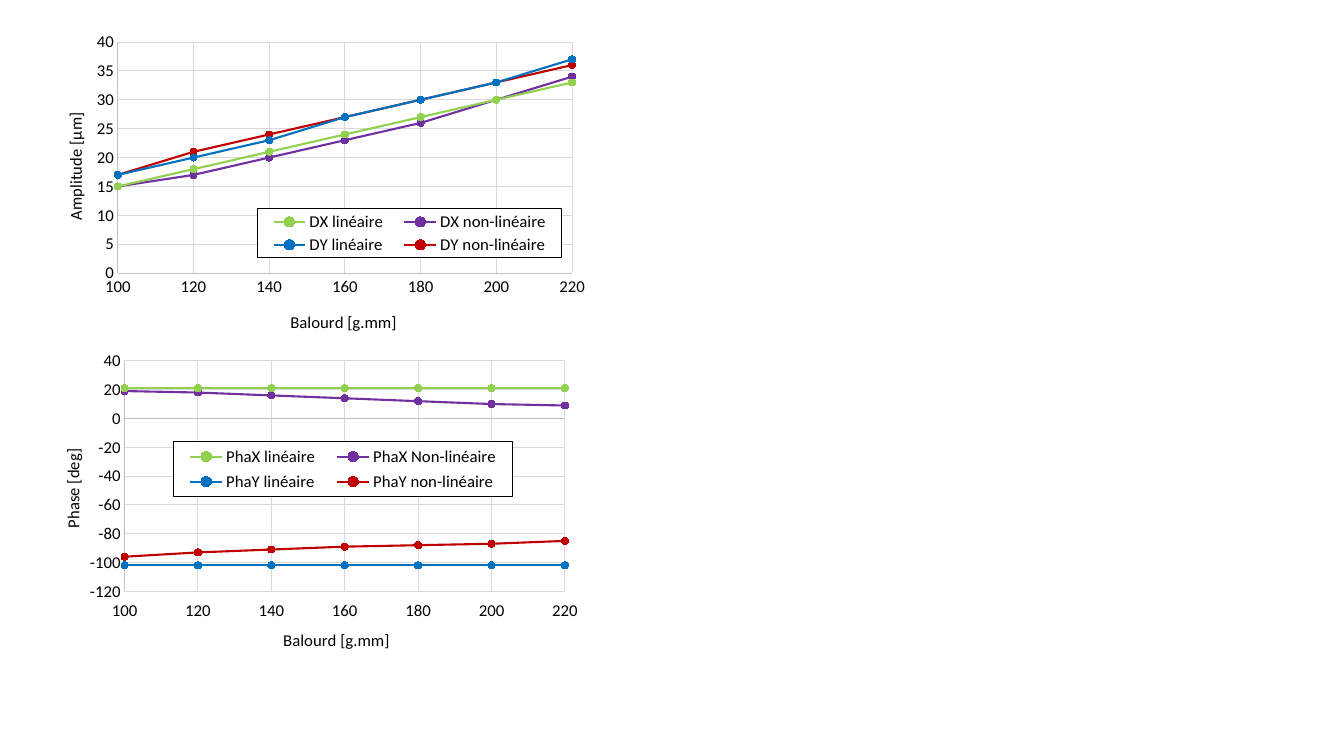
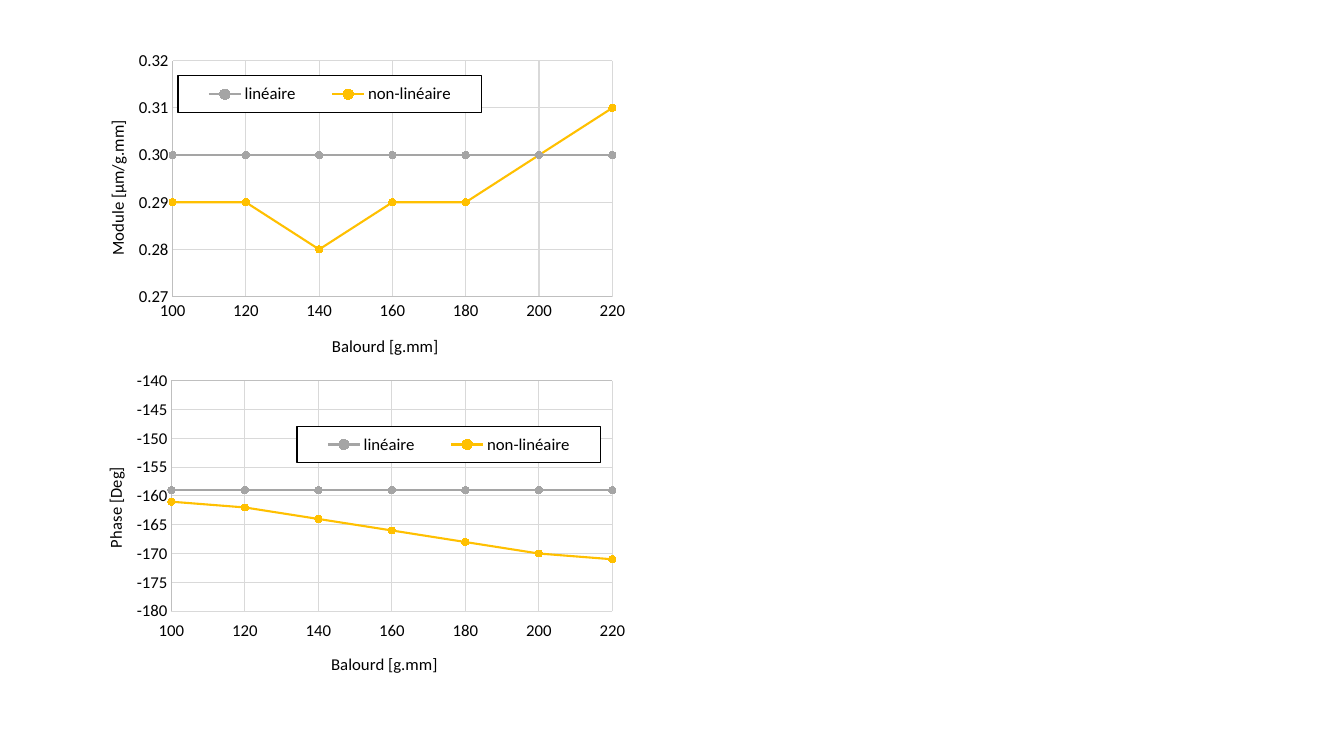
"""Draw four unbalance-response scatter charts on two slides."""
from dataclasses import dataclass
from typing import Optional

from pptx import Presentation
from pptx.chart.data import XyChartData
from pptx.dml.color import RGBColor
from pptx.enum.chart import (
    XL_CHART_TYPE as ChartType,
    XL_LEGEND_POSITION as LegendPosition,
    XL_MARKER_STYLE as MarkerStyle,
    XL_TICK_LABEL_POSITION as LabelPosition,
    XL_TICK_MARK as TickMark,
)
from pptx.oxml import parse_xml
from pptx.oxml.ns import nsdecls, qn
from pptx.util import Pt


@dataclass(frozen=True)
class Theme:
    font: str = "Calibri"
    text_size: float = 12
    curve_width: float = 1.5
    thin_width: float = 0.75
    marker_size: int = 5
    text: str = "000000"
    legend_fill: str = "FFFFFF"
    axis: str = "BFBFBF"
    grid: str = "D9D9D9"
    green: str = "92D050"
    purple: str = "7030A0"
    blue: str = "0070C0"
    dark_red: str = "C00000"
    red: str = "FF0000"
    grey: str = "A5A5A5"
    gold: str = "FFC000"


@dataclass(frozen=True)
class Box:
    left: float
    top: float
    width: Optional[float] = None
    height: Optional[float] = None


@dataclass(frozen=True)
class Curve:
    name: str
    color: str
    values: tuple
    marker_fill: Optional[str] = None


@dataclass(frozen=True)
class Scale:
    title: str
    low: float
    high: float
    step: float
    number_format: str = "General"


@dataclass(frozen=True)
class Graph:
    scale: Scale
    curves: tuple
    plot: Box
    legend: Box
    load_title: Box
    response_title: Box
    labels_low: bool = False


@dataclass(frozen=True)
class Page:
    left: float
    top: float
    graphs: tuple


THEME = Theme()
SLIDE_WIDTH, SLIDE_HEIGHT = 960, 540
GRAPH_WIDTH, GRAPH_HEIGHT = 396.72, 226.8
LOADS = range(100, 221, 20)
LOAD_SCALE = Scale("Balourd [g.mm]", 100, 220, 20)


def constant(value: float) -> tuple:
    """Repeat a value for every load."""
    return (value,) * len(LOADS)


def axis_curves(prefix: str, suffix: str, values: tuple) -> tuple:
    """Name and colour the X and Y curves of one quantity."""
    x_linear, x_nonlinear, y_linear, y_nonlinear = values
    return (
        Curve(f"{prefix}X linéaire", THEME.green, x_linear),
        Curve(f"{prefix}X {suffix}", THEME.purple, x_nonlinear),
        Curve(f"{prefix}Y linéaire", THEME.blue, y_linear),
        Curve(f"{prefix}Y non-linéaire", THEME.dark_red, y_nonlinear, THEME.red),
    )


def model_curves(linear: tuple, nonlinear: tuple) -> tuple:
    """Name and colour the curves of the two models."""
    return (
        Curve("linéaire", THEME.grey, linear),
        Curve("non-linéaire", THEME.gold, nonlinear),
    )


PAGES = (
    Page(38.16, 14.4, (
        Graph(
            Scale("Amplitude [µm]", 0, 40, 5),
            axis_curves("D", "non-linéaire", (
                (15, 18, 21, 24, 27, 30, 33),
                (15, 17, 20, 23, 26, 30, 34),
                (17, 20, 23, 27, 30, 33, 37),
                (17, 21, 24, 27, 30, 33, 36),
            )),
            plot=Box(46, 15.9, 324.5, 167.8),
            legend=Box(146, 137, 217, 35.6),
            load_title=Box(167, 209),
            response_title=Box(5.4, 66),
        ),
        Graph(
            Scale("Phase [deg]", -120, 40, 20),
            axis_curves("Pha", "Non-linéaire", (
                constant(21),
                (19, 18, 16, 14, 12, 10, 9),
                constant(-102),
                (-96, -93, -91, -89, -88, -87, -85),
            )),
            plot=Box(50.8, 16.8, 314.6, 166.9),
            legend=Box(86, 75.2, 242, 40),
            load_title=Box(162, 208.4),
            response_title=Box(3.6, 79),
            labels_low=True,
        ),
    )),
    Page(66.96, 31.68, (
        Graph(
            Scale("Module [µm/g.mm]", 0.27, 0.32, 0.01, "0.00"),
            model_curves(
                constant(0.3), (0.29, 0.29, 0.28, 0.29, 0.29, 0.3, 0.31)
            ),
            plot=Box(56.3, 11.8, 314.2, 169),
            legend=Box(60.2, 22.6, 217, 26.3),
            load_title=Box(168, 206),
            response_title=Box(6.6, 52.6),
        ),
        Graph(
            Scale("Phase [Deg]", -180, -140, 5),
            model_curves(
                constant(-159), (-161, -162, -164, -166, -168, -170, -171)
            ),
            plot=Box(55.5, 13.8, 315, 167.2),
            legend=Box(145.2, 47.2, 217, 25.5),
            load_title=Box(167.4, 209),
            response_title=Box(5.2, 75),
            labels_low=True,
        ),
    )),
)


def rgb(color: str) -> RGBColor:
    """Convert a hexadecimal colour."""
    return RGBColor.from_string(color)


def style_font(font) -> None:
    """Apply the shared text style."""
    font.name = THEME.font
    font.size = Pt(THEME.text_size)
    font.bold = False
    font.color.rgb = rgb(THEME.text)


def style_line(line, color: str, width: float) -> None:
    """Set a line's colour and width."""
    line.color.rgb = rgb(color)
    line.width = Pt(width)


def place(part, box: Box, index: int, target: str = "") -> None:
    """Fix a chart part at a box measured inside the chart."""
    for layout in part.findall(qn("c:layout")):
        part.remove(layout)
    fractions = {"x": box.left / GRAPH_WIDTH, "y": box.top / GRAPH_HEIGHT}
    if box.width and box.height:
        fractions["w"] = box.width / GRAPH_WIDTH
        fractions["h"] = box.height / GRAPH_HEIGHT
    sizes = "".join(f'<c:{key} val="{value:.4f}"/>' for key, value in fractions.items())
    inner = f'<c:layoutTarget val="{target}"/>' if target else ""
    part.insert(index, parse_xml(
        f'<c:layout {nsdecls("c")}><c:manualLayout>{inner}'
        f'<c:xMode val="edge"/><c:yMode val="edge"/>{sizes}'
        f'</c:manualLayout></c:layout>'
    ))


def style_axis(axis, scale: Scale, title_box: Box) -> None:
    """Set an axis's scale, lines, labels and title."""
    axis.minimum_scale, axis.maximum_scale = scale.low, scale.high
    axis.major_unit = scale.step
    axis.major_tick_mark = axis.minor_tick_mark = TickMark.NONE
    axis.has_major_gridlines = True
    style_line(axis.major_gridlines.format.line, THEME.grid, THEME.thin_width)
    style_line(axis.format.line, THEME.axis, THEME.thin_width)
    axis.tick_labels.number_format = scale.number_format
    axis.tick_labels.number_format_is_linked = False
    style_font(axis.tick_labels.font)
    heading = axis.axis_title
    heading.text_frame.text = scale.title
    style_font(heading.text_frame.paragraphs[0].font)
    place(heading._element, title_box, 1)


def style_legend(chart, box: Box) -> None:
    """Add the framed legend over the plot."""
    chart.has_legend = True
    legend = chart.legend
    legend.position = LegendPosition.RIGHT
    legend.include_in_layout = True
    style_font(legend.font)
    place(legend._element, box, 1)
    legend._element.find(qn("c:txPr")).addprevious(parse_xml(
        f'<c:spPr {nsdecls("c", "a")}>'
        f'<a:solidFill><a:srgbClr val="{THEME.legend_fill}"/></a:solidFill>'
        f'<a:ln w="{Pt(THEME.thin_width)}"><a:solidFill>'
        f'<a:srgbClr val="{THEME.text}"/></a:solidFill></a:ln></c:spPr>'
    ))


def style_curve(series, curve: Curve) -> None:
    """Set a curve's line and round markers."""
    series.smooth = True
    style_line(series.format.line, curve.color, THEME.curve_width)
    marker = series.marker
    marker.style = MarkerStyle.CIRCLE
    marker.size = THEME.marker_size
    marker.format.fill.solid()
    marker.format.fill.fore_color.rgb = rgb(curve.marker_fill or curve.color)
    style_line(marker.format.line, curve.color, THEME.thin_width)


def add_graph(slide, graph: Graph, left: float, top: float) -> None:
    """Draw one scatter chart."""
    data = XyChartData()
    for curve in graph.curves:
        points = data.add_series(curve.name)
        for load, value in zip(LOADS, curve.values):
            points.add_data_point(load, value)
    chart = slide.shapes.add_chart(
        ChartType.XY_SCATTER_SMOOTH,
        Pt(left), Pt(top), Pt(GRAPH_WIDTH), Pt(GRAPH_HEIGHT), data,
    ).chart
    chart.has_title = False
    style_font(chart.font)
    chart.plots[0].vary_by_categories = False
    for series, curve in zip(chart.plots[0].series, graph.curves):
        style_curve(series, curve)
    style_axis(chart.category_axis, LOAD_SCALE, graph.load_title)
    style_axis(chart.value_axis, graph.scale, graph.response_title)
    if graph.labels_low:
        chart.category_axis.tick_label_position = LabelPosition.LOW
    style_legend(chart, graph.legend)
    place(chart._chartSpace.chart.plotArea, graph.plot, 0, "inner")


def main() -> None:
    """Build and save the presentation."""
    deck = Presentation()
    deck.slide_width, deck.slide_height = Pt(SLIDE_WIDTH), Pt(SLIDE_HEIGHT)
    for page in PAGES:
        slide = deck.slides.add_slide(deck.slide_layouts[6])
        for row, graph in enumerate(page.graphs):
            add_graph(slide, graph, page.left, page.top + row * GRAPH_HEIGHT)
    deck.save("out.pptx")


if __name__ == "__main__":
    main()
